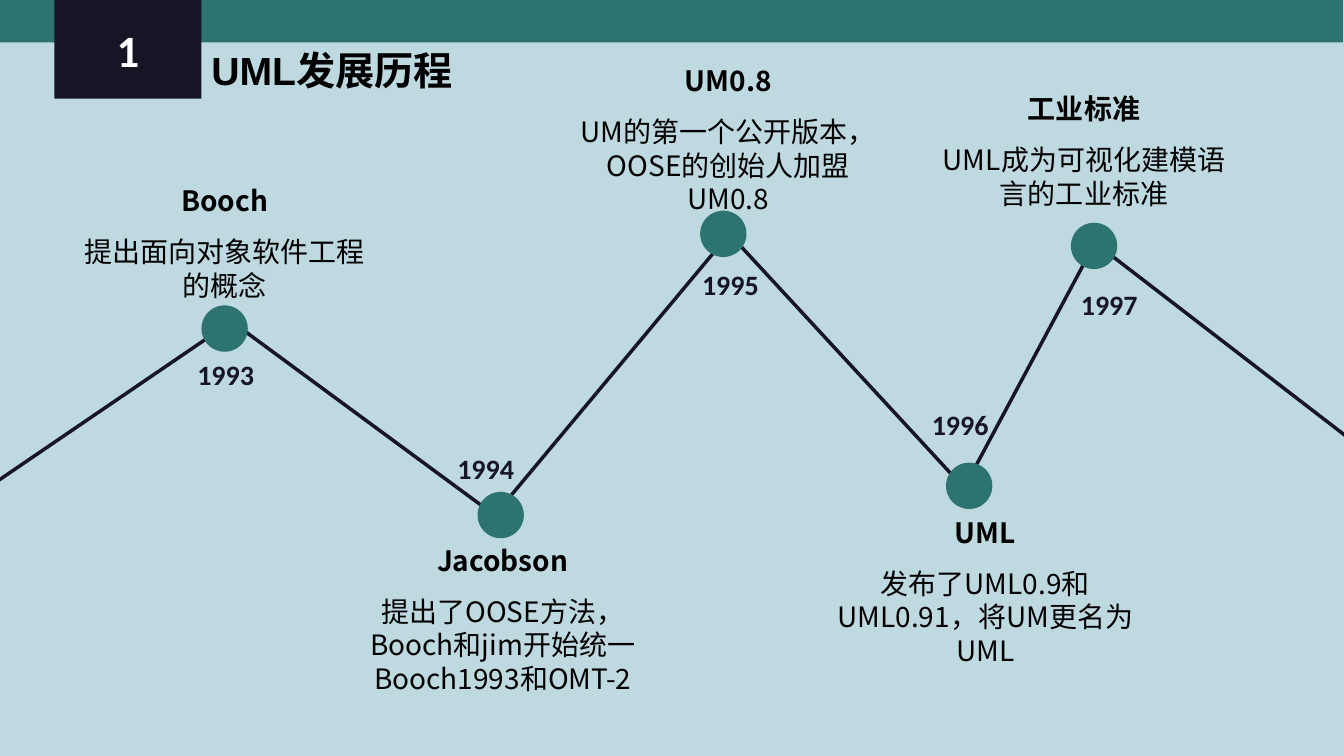
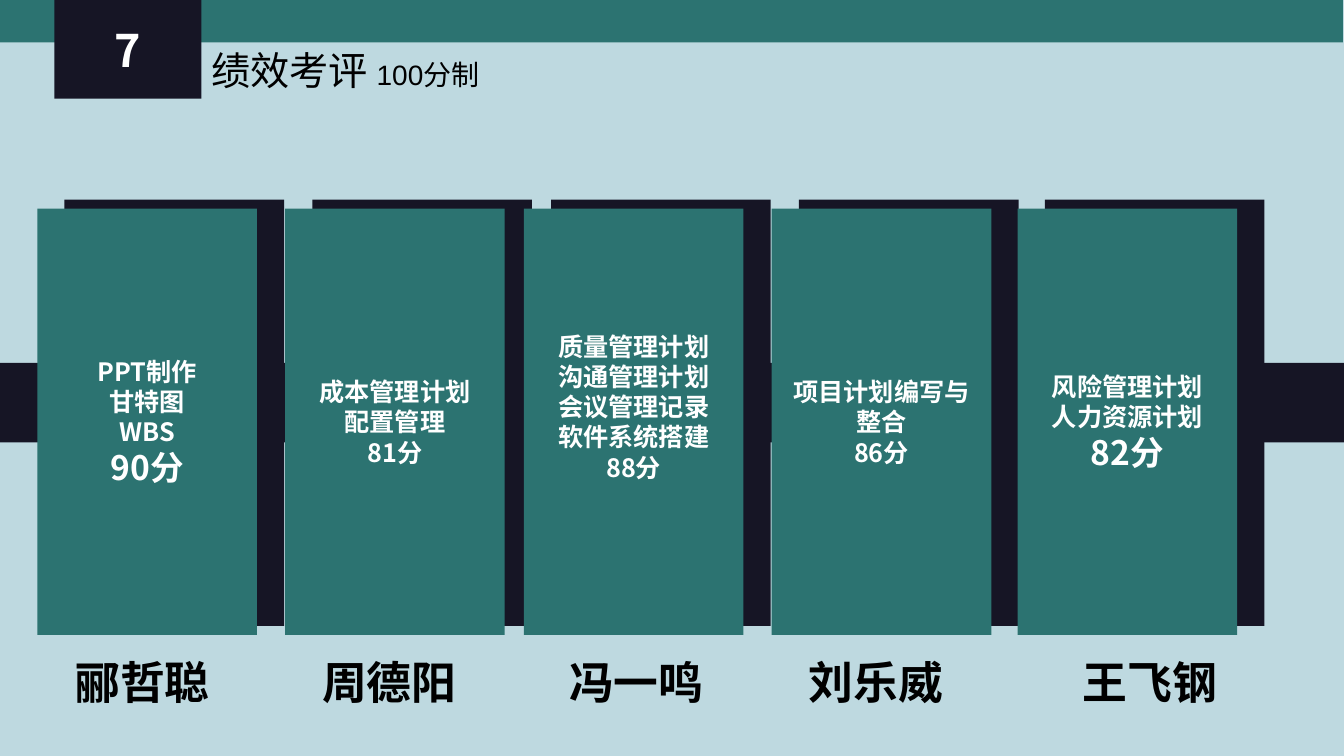
import pptx
import pptx.dml.color
import pptx.enum.shapes
import pptx.enum.text
import pptx.oxml
import pptx.oxml.ns
import pptx.util

PX = 9144
PALE, TEAL, NAVY = "BED9E0", "2C7371", "161525"
WHITE, BLACK = "FFFFFF", "000000"
CJK, LATIN, HEAD = "Noto Sans CJK SC", "Calibri", "Arial"
SHAPE = pptx.enum.shapes.MSO_SHAPE
ALIGN = pptx.enum.text.PP_ALIGN
ANCHOR = pptx.enum.text.MSO_ANCHOR


def rgb(value):
    return pptx.dml.color.RGBColor.from_string(value)


def px(*values):
    return [value * PX for value in values]


class Deck:
    def __init__(self):
        self.prs = pptx.Presentation()
        self.prs.slide_width, self.prs.slide_height = px(1334, 750)
        self.s = None

    def slide(self, number, title, number_font=CJK, bold=False):
        self.s = self.prs.slides.add_slide(self.prs.slide_layouts[6])
        fill = self.s.background.fill
        fill.solid()
        fill.fore_color.rgb = rgb(PALE)
        self.shape(0, 0, 1333, 42, TEAL)
        badge = self.shape(54, 0, 146, 98, NAVY)
        self.set_lines(badge.text_frame, [(number, 32, True)], number_font, WHITE, ALIGN.CENTER)
        return self.text(200, 41, 640, 57, [(title, 28, bold)], HEAD)

    def shape(self, x, y, w, h, color, kind=SHAPE.RECTANGLE):
        sp = self.s.shapes.add_shape(kind, *px(x, y, w, h))
        sp.shadow.inherit = False
        sp.fill.solid()
        sp.fill.fore_color.rgb = rgb(color)
        sp.line.fill.background()
        sp.text_frame.vertical_anchor = ANCHOR.MIDDLE
        return sp

    def text(self, x, y, w, h, lines, font, color=BLACK, align=ALIGN.LEFT, before=0):
        sp = self.s.shapes.add_textbox(*px(x, y, w, h))
        sp.text_frame.word_wrap = True
        self.set_lines(sp.text_frame, lines, font, color, align, before)
        return sp.text_frame

    def set_lines(self, tf, lines, font, color, align, before=0):
        for i, (line, size, bold) in enumerate(lines):
            p = tf.add_paragraph() if i else tf.paragraphs[0]
            p.add_run().text = line
            p.alignment = align
            p.space_before = pptx.util.Pt(before)
            p.line_spacing = pptx.util.Pt(1.2 * size)
            p.font.size = pptx.util.Pt(size)
            p.font.bold = bold
            p.font.color.rgb = rgb(color)
            p.font.name = font
            latin = p._p.pPr.find(".//" + pptx.oxml.ns.qn("a:latin"))
            latin.addnext(pptx.oxml.parse_xml(
                f'<a:ea {pptx.oxml.ns.nsdecls("a")} typeface="{CJK}"/>'))

    def polyline(self, points, color, width):
        builder = self.s.shapes.build_freeform(*points[0], scale=PX)
        builder.add_line_segments(points[1:], close=False)
        sp = builder.convert_to_shape()
        sp.shadow.inherit = False
        sp.fill.background()
        sp.line.color.rgb = rgb(color)
        sp.line.width = pptx.util.Pt(width)

    def milestone(self, year, year_at, dot_at, name, detail, note_at):
        self.text(*year_at, 152, 44, [(year, 20, True)], LATIN, NAVY)
        self.shape(*dot_at, 46, 46, TEAL, SHAPE.OVAL)
        self.text(*note_at, 322, 161, [(name, 20, True), (detail, 20, False)],
                  CJK, align=ALIGN.CENTER, before=12.5)

    def card(self, x, name_x, name, tasks, score, score_size, bottom):
        self.shape(x + 27, 198, 218, 423, NAVY)
        sp = self.shape(x, 207, 218, 423, TEAL)
        sp.text_frame.margin_bottom = bottom * PX
        lines = [(task, 18, True) for task in tasks] + [(score, score_size, True)]
        self.set_lines(sp.text_frame, lines, CJK, WHITE, ALIGN.CENTER)
        self.text(name_x, 645, 163, 64, [(name, 32, True)], LATIN)


def history(deck):
    deck.slide("1", "UML发展历程", LATIN, True)
    deck.polyline([(-5, 479), (230, 319), (491, 511), (724, 232),
                   (957, 484), (1087, 241), (1395, 478)], NAVY, 2.5)
    for milestone in (
        ("1993", (186, 350), (200, 303), "Booch",
         "提出面向对象软件工程的概念", (62, 177)),
        ("1994", (444, 443), (474, 488), "Jacobson",
         "提出了OOSE方法，Booch和jim开始统一Booch1993和OMT-2", (338, 534)),
        ("1995", (687, 260), (695, 209), "UM0.8",
         "UM的第一个公开版本，OOSE的创始人加盟UM0.8", (562, 58)),
        ("1996", (915, 399), (939, 459), "UML",
         "发布了UML0.9和UML0.91，将UM更名为UML", (817, 506)),
        ("1997", (1063, 280), (1063, 221), "工业标准",
         "UML成为可视化建模语言的工业标准", (915, 86)),
    ):
        deck.milestone(*milestone)


def review(deck):
    tf = deck.slide("7", "绩效考评 ")
    r = tf.paragraphs[0].add_run()
    r.text = "100分制"
    r.font.size = pptx.util.Pt(20)
    deck.shape(-69, 360, 1456, 79, NAVY)
    for card in (
        (37, 65, "郦哲聪", ["PPT制作", "甘特图", "WBS"], "90分", 24, 5),
        (283, 310, "周德阳", ["成本管理计划", "配置管理"], "81分", 18, 5),
        (520, 555, "冯一鸣", ["质量管理计划", "沟通管理计划", "会议管理记录", "软件系统搭建"],
         "88分", 18, 35),
        (766, 793, "刘乐威", ["项目计划编写与整合"], "86分", 18, 5),
        (1010, 1065, "王飞钢", ["风险管理计划", "人力资源计划"], "82分", 24, 5),
    ):
        deck.card(*card)


def main():
    deck = Deck()
    history(deck)
    review(deck)
    deck.prs.save("out.pptx")


if __name__ == "__main__":
    main()
